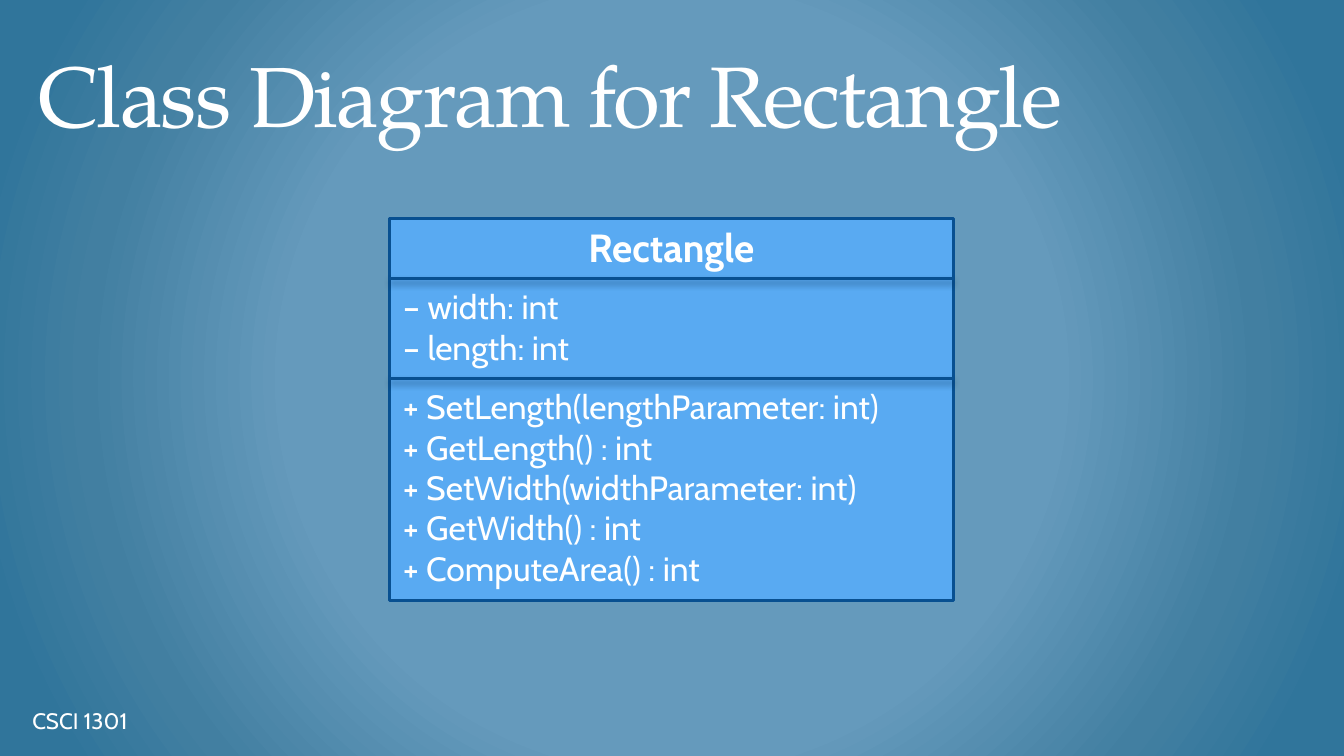
from lxml import etree
from pptx import Presentation
from pptx.dml.color import RGBColor
from pptx.enum.shapes import MSO_CONNECTOR as Connector, MSO_SHAPE as Shape
from pptx.enum.text import MSO_ANCHOR as Anchor, MSO_AUTO_SIZE as AutoSize, PP_ALIGN as Align
from pptx.oxml import parse_xml
from pptx.oxml.ns import nsdecls, qn
from pptx.util import Inches, Pt

COLORS = {"text": "FFFFFF", "class": "59AAF2", "border": "085091", "shadow": "042747"}
BACKDROP_STOPS = [(50, "659ABC"), (76, "427FA1"), (92, "30759B")]
TITLE_FONT, BODY_FONT = "TeX Gyre Pagella", "Cabin"
WIDTH, HEIGHT = 13.33, 7.5
MARGIN = 0.25

ATTRIBUTES = ["– width: int", "– length: int"]
METHODS = [
    "+ SetLength(lengthParameter: int)",
    "+ GetLength() : int",
    "+ SetWidth(widthParameter: int)",
    "+ GetWidth() : int",
    "+ ComputeArea() : int",
]


def color(name):
    return RGBColor.from_string(COLORS[name])


def inches(*lengths):
    return [Inches(length) for length in lengths]


def write(frame, lines, size, font=BODY_FONT, bold=False, align=Align.LEFT):
    frame.text = "\n".join(lines)
    for para in frame.paragraphs:
        para.alignment = align
        para.font.name, para.font.size, para.font.bold = font, Pt(size), bold
        para.font.color.rgb = color("text")


def set_margins(frame, left, right, vertical):
    frame.margin_left, frame.margin_right = inches(left, right)
    frame.margin_top = frame.margin_bottom = Inches(vertical)


def paint_backdrop(page):
    """Fill the page with a gradient that spreads from its centre."""
    page.background.fill.solid()
    stops = "".join(
        f'<a:gs pos="{share * 1000}"><a:srgbClr val="{tone}"/></a:gs>'
        for share, tone in BACKDROP_STOPS
    )
    gradient = parse_xml(
        f'<a:gradFill {nsdecls("a")} rotWithShape="1"><a:gsLst>{stops}</a:gsLst>'
        '<a:path path="circle"><a:fillToRect l="50000" t="50000" r="50000" b="50000"/>'
        "</a:path></a:gradFill>"
    )
    solid = next(page.element.iter(qn("a:solidFill")))
    solid.getparent().replace(solid, gradient)


def add_title(page, text, left, top, width, height):
    title = page.shapes.title
    title.left, title.top, title.width, title.height = inches(left, top, width, height)
    frame = title.text_frame
    write(frame, [text], 61, TITLE_FONT)
    frame.auto_size = AutoSize.NONE
    frame.vertical_anchor = Anchor.BOTTOM
    set_margins(frame, 0.13, 0.13, 0.07)
    para = frame.paragraphs[0]
    para.line_spacing = Pt(77.3)
    para.runs[0].font._element.set("spc", "-130")


def add_footer(page, text, left, top, width, height):
    frame = page.shapes.add_textbox(*inches(left, top, width, height)).text_frame
    write(frame, [text], 16)
    frame.word_wrap = True
    frame.vertical_anchor = Anchor.MIDDLE
    set_margins(frame, 0.07, 0.13, 0.07)


def outline(line):
    line.color.rgb = color("border")
    line.width = Pt(2)


def add_divider(page, left, top, width):
    divider = page.shapes.add_connector(
        Connector.STRAIGHT, *inches(left, top, left + width, top)
    )
    outline(divider.line)
    effects = etree.SubElement(divider._element.spPr, qn("a:effectLst"))
    shadow = etree.SubElement(
        effects, qn("a:outerShdw"), blurRad=str(Pt(4.5)), dist=str(Pt(3)),
        dir="5400000", rotWithShape="0",
    )
    tone = etree.SubElement(shadow, qn("a:srgbClr"), val=COLORS["shadow"])
    etree.SubElement(tone, qn("a:alpha"), val="48000")


def add_members(page, lines, left, top, width, height):
    frame = page.shapes.add_textbox(*inches(left, top, width, height)).text_frame
    write(frame, lines, 24)
    frame.word_wrap = False
    frame.auto_size = AutoSize.SHAPE_TO_FIT_TEXT


def add_class_diagram(page, name, sections, left, top, width, height):
    """Draw a class box; each section is (share of height above it, lines, text width)."""
    box = page.shapes.add_shape(Shape.RECTANGLE, *inches(left, top, width, height))
    box.shadow.inherit = False
    box.fill.solid()
    box.fill.fore_color.rgb = color("class")
    outline(box.line)
    box.text_frame.vertical_anchor = Anchor.TOP
    write(box.text_frame, [name], 28, bold=True, align=Align.CENTER)
    for share, lines, text_width in sections:
        section_top = top + share * height
        add_divider(page, left, section_top, width)
        add_members(page, lines, left + 0.04, section_top + 0.03,
                    text_width, 0.1 + 0.4 * len(lines))


def main():
    deck = Presentation()
    deck.slide_width, deck.slide_height = inches(WIDTH, HEIGHT)
    page = deck.slides.add_slide(deck.slide_layouts[5])
    paint_backdrop(page)
    add_title(page, "Class Diagram for Rectangle", MARGIN, MARGIN, WIDTH - 2 * MARGIN, 1.25)
    add_class_diagram(
        page, "Rectangle", [(0.156, ATTRIBUTES, 1.9), (0.418, METHODS, 5.11)],
        3.86, 2.17, 5.6, 3.79,
    )
    add_footer(page, "CSCI 1301", MARGIN, 6.95, 4.15, 0.4)
    deck.save("out.pptx")


if __name__ == "__main__":
    main()
